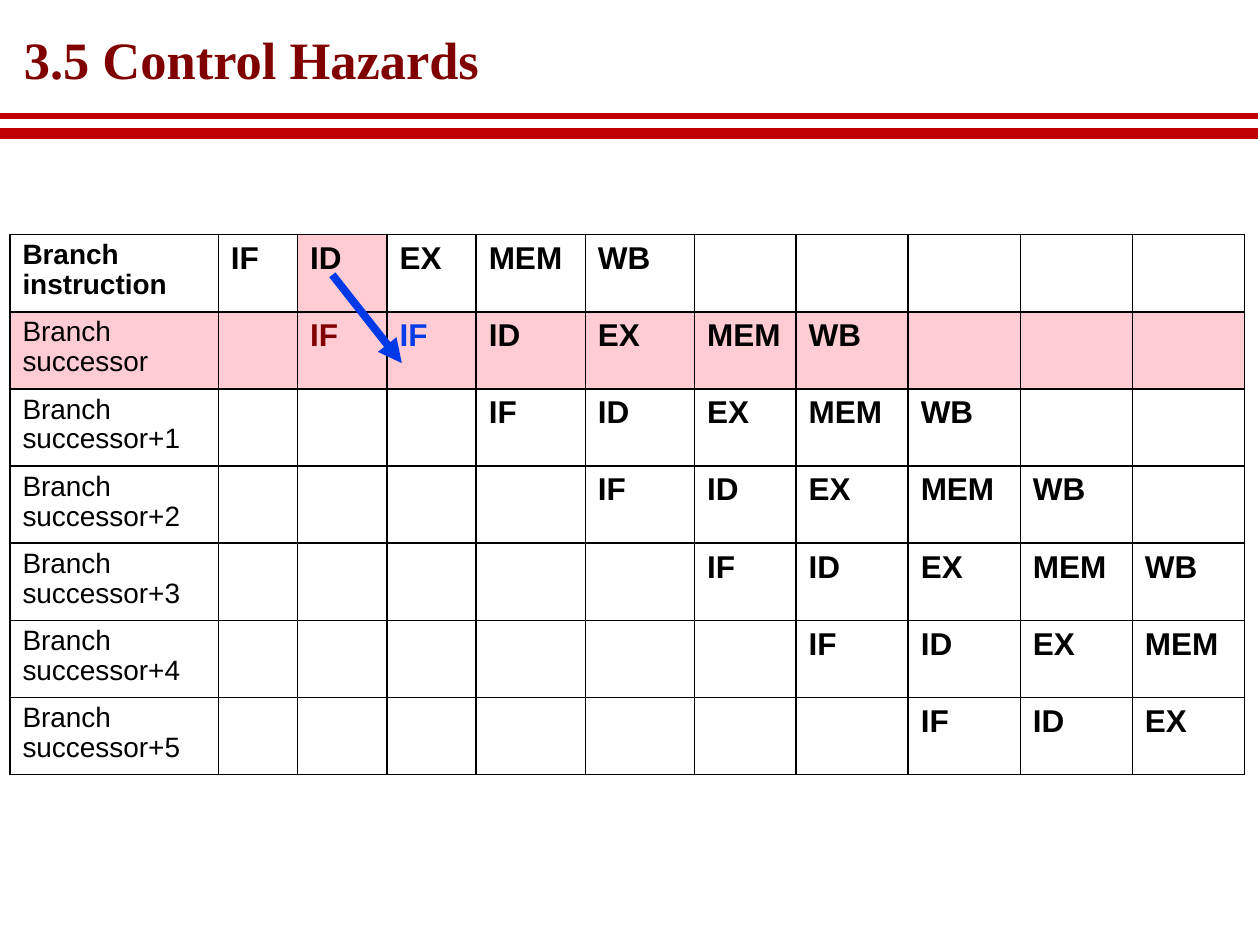
from lxml import etree
from pptx import Presentation
from pptx import util as u
from pptx.dml.color import RGBColor
from pptx.enum import shapes, text
from pptx.oxml.ns import qn

TITLE = "3.5 Control Hazards"
STAGES = ["IF", "ID", "EX", "MEM", "WB"]
# label, column of the first stage
INSTRUCTIONS = [("Branch instruction", 1), ("Branch successor", 3)] + [
    (f"Branch successor+{n}", n + 3) for n in range(1, 6)
]
REFETCH = (1, 2)  # wasted fetch: row, column
FETCH_AGAIN = (1, 3)
DECODE = (0, 2)
COLORS = {
    "black": "000000", "white": "FFFFFF", "pink": "FFCCD4", "maroon": "800000",
    "blue": "063DE8", "arrow": "0039E8", "rule": "C00000",
}
COLUMN_WIDTHS = [4.2, 1.6, 1.8, 1.8, 2.2, 2.2, 2.05, 2.26, 2.26, 2.26, 2.26]
ROW_HEIGHT = 1.51
# start x, start y, end x, end y, colour, width, arrowhead
RULES = [
    (-0.03, 2.69, 25.36, 2.69, "rule", 6, False),
    (-0.05, 2.34, 25.36, 2.34, "rule", 3, False),
]
ARROW = (6.7, 5.54, 8.1, 7.32, "arrow", 4.5, True)


def rgb(name):
    return RGBColor.from_string(COLORS[name])


def write(frame, words, size, color="black", bold=True, font="Arial", spacing=1.0):
    para = frame.paragraphs[0]
    para.alignment = text.PP_ALIGN.LEFT
    para.line_spacing = spacing
    span = para.add_run()
    span.text = words
    span.font.name, span.font.size, span.font.bold = font, u.Pt(size), bold
    span.font.color.rgb = rgb(color)


def add_borders(cell):
    """Draw 1 pt black borders, placed before the fill as the schema asks."""
    properties = cell._tc.get_or_add_tcPr()
    for index, side in enumerate(("a:lnL", "a:lnR", "a:lnT", "a:lnB")):
        line = etree.Element(qn(side), w=str(u.Pt(1)))
        fill = etree.SubElement(line, qn("a:solidFill"))
        etree.SubElement(fill, qn("a:srgbClr"), val=COLORS["black"])
        properties.insert(index, line)


def add_title(page):
    title = page.shapes.title
    title.left, title.top, title.width, title.height = map(u.Cm, (0.3, 0.64, 9.65, 1.27))
    frame = title.text_frame
    frame.word_wrap = False
    frame.auto_size = text.MSO_AUTO_SIZE.SHAPE_TO_FIT_TEXT
    frame.vertical_anchor = text.MSO_ANCHOR.MIDDLE
    frame.margin_left = frame.margin_right = u.Cm(0.18)
    frame.margin_top = frame.margin_bottom = u.Cm(0.08)
    write(frame, TITLE, 30, "maroon", font="Times New Roman", spacing=0.87)


def add_pipeline(page):
    rows, columns = len(INSTRUCTIONS), len(COLUMN_WIDTHS)
    table = page.shapes.add_table(
        rows, columns, u.Cm(0.2), u.Cm(4.73),
        u.Cm(sum(COLUMN_WIDTHS)), u.Cm(ROW_HEIGHT * rows)).table
    for column, width in zip(table.columns, COLUMN_WIDTHS):
        column.width = u.Cm(width)
    for r, (label, start) in enumerate(INSTRUCTIONS):
        table.rows[r].height = u.Cm(ROW_HEIGHT)
        for c in range(columns):
            cell = table.cell(r, c)
            cell.fill.solid()
            cell.fill.fore_color.rgb = rgb("pink" if r == 1 or (r, c) == DECODE else "white")
            add_borders(cell)
            if c == 0:
                write(cell.text_frame, label, 16, bold=r == 0, spacing=0.96)
            elif (r, c) == REFETCH:
                write(cell.text_frame, "IF", 18, "maroon")
            elif 0 <= c - start < len(STAGES):
                color = "blue" if (r, c) == FETCH_AGAIN else "black"
                write(cell.text_frame, STAGES[c - start], 18, color)


def add_line(page, x1, y1, x2, y2, color, width, arrowhead):
    connector = page.shapes.add_connector(
        shapes.MSO_CONNECTOR.STRAIGHT, *map(u.Cm, (x1, y1, x2, y2)))
    connector.line.color.rgb = rgb(color)
    connector.line.width = u.Pt(width)
    if arrowhead:
        etree.SubElement(connector.line._get_or_add_ln(), qn("a:tailEnd"), type="triangle")
    etree.SubElement(connector._element.spPr, qn("a:effectLst"))


def main():
    deck = Presentation()
    deck.slide_width, deck.slide_height = u.Cm(25.4), u.Cm(19.05)
    page = deck.slides.add_slide(deck.slide_layouts[5])
    add_pipeline(page)
    add_title(page)
    for line in RULES + [ARROW]:
        add_line(page, *line)
    deck.save("out.pptx")


if __name__ == "__main__":
    main()
